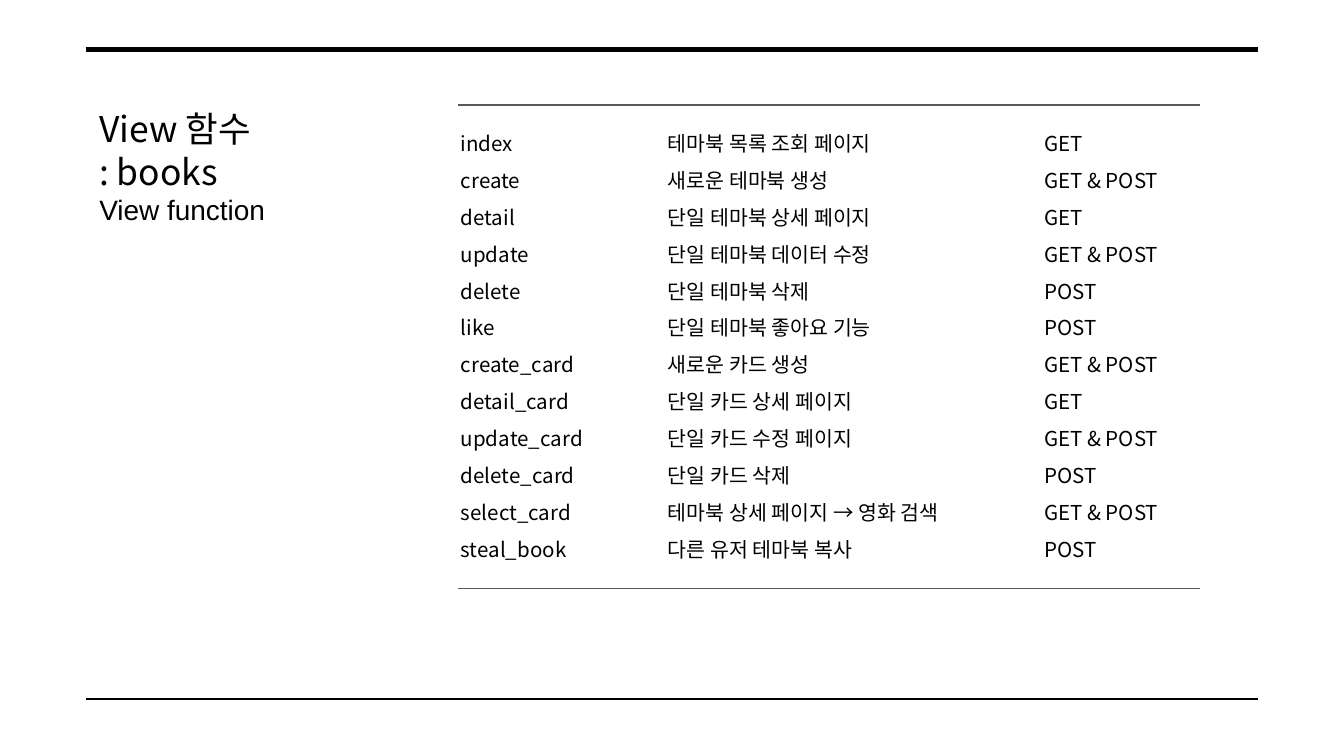
import pptx
import pptx.util
import pptx.dml.color
import pptx.enum.shapes
import pptx.oxml.ns
from lxml import etree

Inches, Pt = pptx.util.Inches, pptx.util.Pt
BLACK = pptx.dml.color.RGBColor(0x00, 0x00, 0x00)
GRAY = pptx.dml.color.RGBColor(0x59, 0x59, 0x59)
SANS, KOREAN = "Arial", "Noto Sans CJK KR"
qn = pptx.oxml.ns.qn

# Slide in 16:9
deck = pptx.Presentation()
deck.slide_width, deck.slide_height = Inches(10), Inches(10 * 9 / 16)
slide = deck.slides.add_slide(deck.slide_layouts[6])


def add_rule(left, right, y, color, width):
    rule = slide.shapes.add_connector(
        pptx.enum.shapes.MSO_CONNECTOR.STRAIGHT,
        Inches(left), Inches(y), Inches(right), Inches(y))
    rule.line.color.rgb = color
    rule.line.width = Pt(width)
    etree.SubElement(rule._element.spPr, qn("a:effectLst"))


def add_text(left, top, width, height, lines):
    box = slide.shapes.add_textbox(
        Inches(left), Inches(top), Inches(width), Inches(height))
    frame = box.text_frame
    form = {"word_wrap": True, "margin_left": Inches(0.1),
            "margin_right": Inches(0.1), "margin_top": Inches(0.1),
            "margin_bottom": Inches(0.1)}
    for name, value in form.items():
        setattr(frame, name, value)
    for i, (text, size, face, pitch) in enumerate(lines):
        para = frame.add_paragraph() if i else frame.paragraphs[0]
        if pitch:
            para.line_spacing = Pt(pitch)
        run = para.add_run()
        run.text = text
        run.font.color.rgb = BLACK
        for name, value in {"size": Pt(size), "name": face}.items():
            setattr(run.font, name, value)
        # Korean letters take their face from the East Asian slot
        east = etree.SubElement(run.font._element, qn("a:ea"))
        east.set("typeface", face)


# Page rules
add_rule(0.64, 9.36, 5.2, BLACK, 0.75)
add_rule(0.64, 9.36, 0.37, BLACK, 3)

# Title
add_text(0.64, 0.7, 2.69, 1.11, [
    ("View 함수", 19, KOREAN, 22.8),
    (": books", 19, KOREAN, 22.8),
    ("View function", 15, SANS, None),
])

# Rules above and below the list
for y in (0.78, 4.38):
    add_rule(3.41, 8.93, y, GRAY, 0.75)

# View list: name, purpose, HTTP method
views = [
    ("index", "테마북 목록 조회 페이지", "GET"),
    ("create", "새로운 테마북 생성", "GET & POST"),
    ("detail", "단일 테마북 상세 페이지", "GET"),
    ("update", "단일 테마북 데이터 수정", "GET & POST"),
    ("delete", "단일 테마북 삭제", "POST"),
    ("like", "단일 테마북 좋아요 기능", "POST"),
    ("create_card", "새로운 카드 생성", "GET & POST"),
    ("detail_card", "단일 카드 상세 페이지", "GET"),
    ("update_card", "단일 카드 수정 페이지", "GET & POST"),
    ("delete_card", "단일 카드 삭제", "POST"),
    ("select_card", "테마북 상세 페이지 → 영화 검색", "GET & POST"),
    ("steal_book", "다른 유저 테마북 복사", "POST"),
]
spans = [(3.33, 5.21), (4.87, 3.53), (7.67, 1.24)]
for (left, width), words in zip(spans, zip(*views)):
    add_text(left, 0.78, width, 0.56,
             [(word, 11, KOREAN, 19.8) for word in words])

deck.save("out.pptx")
